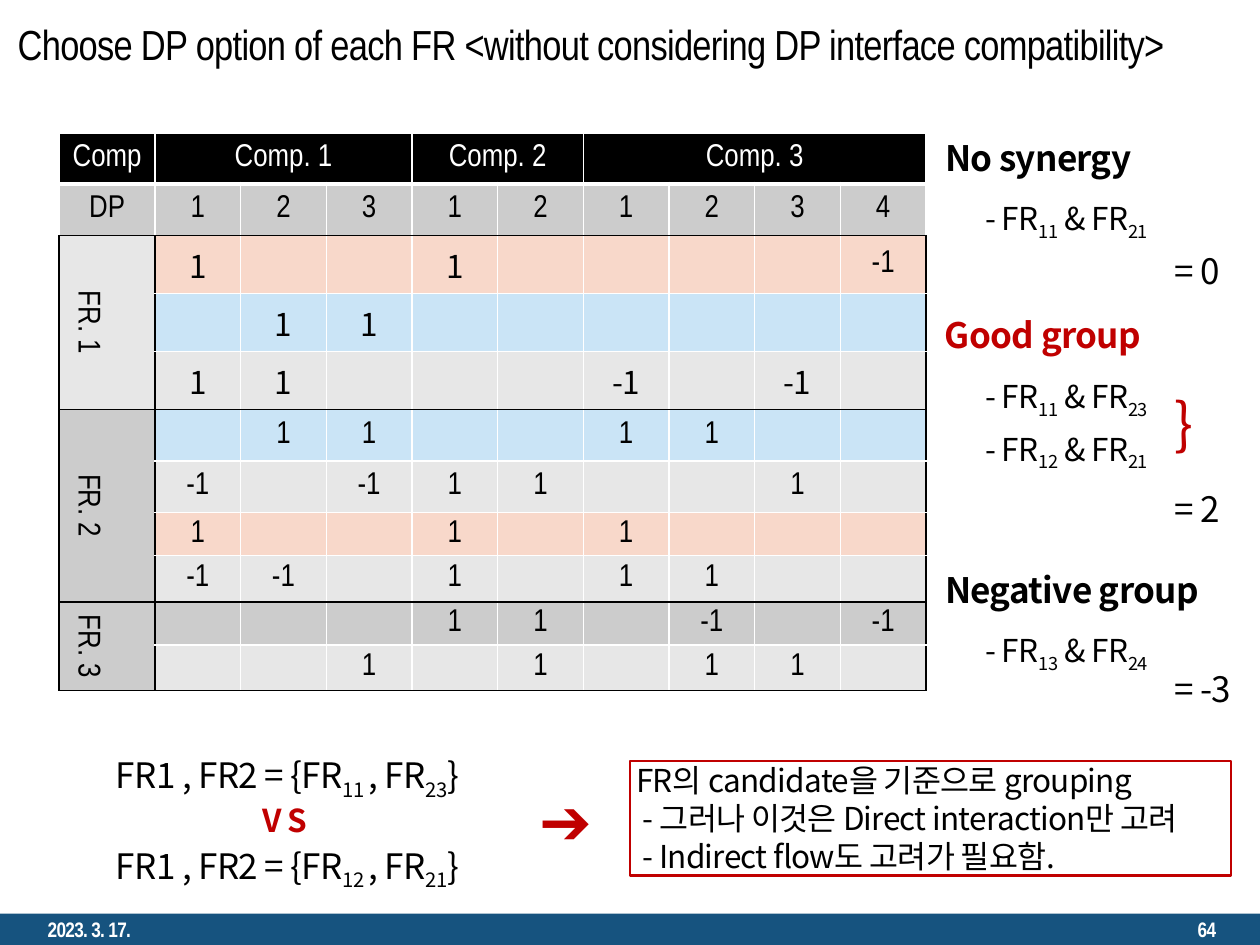
from dataclasses import dataclass

import pptx
import pptx.dml.color
import pptx.enum.shapes
import pptx.enum.text
import pptx.oxml.ns
import pptx.util
from lxml import etree
from pptx.util import Inches

NARROW, NOTO = "Arial Narrow", "Noto Sans CJK KR"
BLACK, WHITE, RED, NAVY = "000000", "FFFFFF", "C00000", "16537F"
GRAY, LIGHT, PINK, BLUE = "CCCCCC", "E7E7E7", "F8D8CA", "CAE4F6"
CENTER = pptx.enum.text.PP_ALIGN.CENTER
RIGHT = pptx.enum.text.PP_ALIGN.RIGHT
MIDDLE = pptx.enum.text.MSO_ANCHOR.MIDDLE


@dataclass
class Label:
    text: str
    left: float
    top: float
    width: float
    height: float
    size: int
    color: str = BLACK
    bold: bool = False


@dataclass
class Row:
    height: float
    fill: str
    values: dict
    font: str = NARROW


@dataclass
class Group:
    name: str
    fill: str
    rows: list


LABELS = [
    Label("No synergy", 7.5, 1.08, 1.48, 0.34, 20, bold=True),
    Label("- FR_11_ & FR_21", 7.82, 1.58, 1.45, 0.3, 18),
    Label("= 0", 9.32, 1.98, 0.43, 0.34, 20),
    Label("Good group", 7.5, 2.49, 1.57, 0.34, 20, RED, True),
    Label("- FR_11_ & FR_23", 7.82, 2.99, 1.45, 0.3, 18),
    Label("- FR_12_ & FR_21", 7.82, 3.41, 1.45, 0.3, 18),
    Label("}", 9.32, 3.08, 0.13, 0.54, 32, RED),
    Label("= 2", 9.32, 3.87, 0.43, 0.34, 20),
    Label("Negative group", 7.5, 4.51, 2.02, 0.34, 20, bold=True),
    Label("- FR_13_ & FR_24", 7.82, 5.01, 1.45, 0.3, 18),
    Label("= -3", 9.32, 5.3, 0.54, 0.34, 20),
    Label("FR1 , FR2 = {FR_11 _, FR_23_}", 0.92, 5.98, 2.98, 0.34, 20),
    Label("V S", 2.08, 6.36, 0.38, 0.3, 18, RED, True),
    Label("FR1 , FR2 = {FR_12 _, FR_21_}", 0.92, 6.7, 2.98, 0.34, 20),
    Label("➔", 4.28, 6.2, 0.53, 0.61, 36, RED),
]

COMPONENTS = [("Comp. 1", 3), ("Comp. 2", 2), ("Comp. 3", 4)]
GROUPS = [
    Group("FR. 1", LIGHT, [
        Row(0.46, PINK, {1: "1", 4: "1", 9: "-1"}, NOTO),
        Row(0.46, BLUE, {2: "1", 3: "1"}, NOTO),
        Row(0.46, LIGHT, {1: "1", 2: "1", 6: "-1", 8: "-1"}, NOTO),
    ]),
    Group("FR. 2", GRAY, [
        Row(0.41, BLUE, {2: "1", 3: "1", 6: "1", 7: "1"}),
        Row(0.41, LIGHT, {1: "-1", 3: "-1", 4: "1", 5: "1", 8: "1"}),
        Row(0.33, PINK, {1: "1", 4: "1", 6: "1"}),
        Row(0.37, LIGHT, {1: "-1", 2: "-1", 4: "1", 6: "1", 7: "1"}),
    ]),
    Group("FR. 3", GRAY, [
        Row(0.34, GRAY, {4: "1", 5: "1", 7: "-1", 9: "-1"}),
        Row(0.34, LIGHT, {3: "1", 5: "1", 7: "1", 8: "1"}),
    ]),
]
NOTES = [
    ("FR의 candidate을 기준으로 grouping", 0.05),
    ("- 그러나 이것은 Direct interaction만 고려", 0.1),
    ("- Indirect flow도 고려가 필요함.", 0.1),
]


def rgb(value: str):
    return pptx.dml.color.RGBColor.from_string(value)


def format_run(r, size: int, color: str, font: str, bold: bool = False, spacing: float = -0.4) -> None:
    r.font.size, r.font.name, r.font.bold = pptx.util.Pt(size), font, bold
    r.font.color.rgb = rgb(color)
    rpr = r.font._element
    rpr.set("spc", str(round(spacing * 100)))
    etree.SubElement(rpr, pptx.oxml.ns.qn("a:ea")).set("typeface", font)


def clear_margins(tf) -> None:
    tf.margin_left = tf.margin_right = tf.margin_top = tf.margin_bottom = 0


def draw_label(s, label: Label) -> None:
    box = [Inches(v) for v in (label.left, label.top, label.width, label.height)]
    tf = s.shapes.add_textbox(*box).text_frame
    clear_margins(tf)
    tf.word_wrap = False
    p = tf.paragraphs[0]
    for i, part in enumerate(label.text.split("_")):
        if part:
            r = p.add_run()
            r.text = part
            format_run(r, label.size, label.color, NOTO, label.bold)
            if i % 2:
                r.font._element.set("baseline", "-25000")


def draw_footer(s, text: str, left: float, align=None) -> None:
    tf = s.shapes.add_textbox(Inches(left), Inches(7.25), Inches(2.25), Inches(0.25)).text_frame
    tf.word_wrap, tf.vertical_anchor, tf.text = True, MIDDLE, text
    p = tf.paragraphs[0]
    p.alignment = align
    format_run(p.runs[0], 12, WHITE, NARROW, True)


def draw_rect(s, left: float, top: float, width: float, height: float):
    sp = s.shapes.add_shape(pptx.enum.shapes.MSO_SHAPE.RECTANGLE,
                            Inches(left), Inches(top), Inches(width), Inches(height))
    sp.shadow.inherit = False
    return sp


def draw_notes(s) -> None:
    sp = draw_rect(s, 5, 6.04, 4.77, 0.91)
    sp.fill.background()
    sp.line.color.rgb, sp.line.width = rgb(RED), pptx.util.Pt(1.5)
    tf = sp.text_frame
    clear_margins(tf)
    tf.vertical_anchor = pptx.enum.text.MSO_ANCHOR.TOP
    tf.text = "\n".join(text for text, _ in NOTES)
    for p, (_, indent) in zip(tf.paragraphs, NOTES):
        p.alignment = pptx.enum.text.PP_ALIGN.LEFT
        p._p.get_or_add_pPr().set("marL", str(Inches(indent)))
        format_run(p.runs[0], 18, BLACK, NOTO)


def set_borders(cell, borders: dict) -> None:
    tcpr = cell._tc.get_or_add_tcPr()
    for i, side in enumerate("LRTB"):
        color, width = borders.get(side, (WHITE, 1))
        ln = etree.Element(pptx.oxml.ns.qn(f"a:ln{side}"), w=str(pptx.util.Pt(width)))
        fill = etree.SubElement(ln, pptx.oxml.ns.qn("a:solidFill"))
        etree.SubElement(fill, pptx.oxml.ns.qn("a:srgbClr")).set("val", color)
        tcpr.insert(i, ln)


def draw_cell(cell, text: str, fill: str, borders: dict, color: str = BLACK, font: str = NARROW) -> None:
    cell.fill.solid()
    cell.fill.fore_color.rgb = rgb(fill)
    cell.vertical_anchor = MIDDLE
    cell.margin_top = cell.margin_bottom = Inches(0.02)
    set_borders(cell, borders)
    cell.text_frame.text = text
    p = cell.text_frame.paragraphs[0]
    p.alignment = CENTER
    for r in p.runs:
        format_run(r, 18, color, font, spacing=-0.4 if font == NOTO else 0)
    if not text:
        etree.SubElement(p._p, pptx.oxml.ns.qn("a:endParaRPr")).set("sz", "1200")


def draw_table(s) -> None:
    heights = [0.4, 0.41] + [row.height for g in GROUPS for row in g.rows]
    frame = s.shapes.add_table(len(heights), 10, Inches(0.47), Inches(1.06), Inches(6.88), Inches(sum(heights)))
    table = frame.table
    for i, height in enumerate(heights):
        table.rows[i].height = Inches(height)
    for i in range(10):
        table.columns[i].width = Inches(0.68 if i else 0.76)
    edge = (BLACK, 1)
    col = 0
    for name, span in [("Comp", 1)] + COMPONENTS:
        for i in range(span):
            draw_cell(table.cell(0, col + i), "" if i else name, BLACK, {"B": (WHITE, 3)}, WHITE)
            number = str(i + 1) if col else "DP"
            draw_cell(table.cell(1, col + i), number, GRAY, {"T": (WHITE, 3), "B": edge})
        if span > 1:
            table.cell(0, col).merge(table.cell(0, col + span - 1))
        col += span
    top = 2
    for g in GROUPS:
        last = len(g.rows) - 1
        for i, row in enumerate(g.rows):
            draw_cell(table.cell(top + i, 0), "" if i else g.name, g.fill, dict.fromkeys("LRTB", edge))
            for c in range(1, 10):
                sides = {"T": i == 0, "B": i == last, "L": c == 1, "R": c == 9}
                font = NARROW if c == 9 else row.font
                draw_cell(table.cell(top + i, c), row.values.get(c, ""), row.fill,
                          {side: edge for side, outer in sides.items() if outer}, font=font)
        head = table.cell(top, 0)
        head.margin_top = head.margin_bottom = Inches(0.1)
        head.merge(table.cell(top + last, 0))
        head._tc.get_or_add_tcPr().set("vert", "vert")
        top += len(g.rows)


def draw_title(s) -> None:
    sp = s.shapes.title
    sp.left, sp.top, sp.width, sp.height = Inches(0.04), Inches(0.03), Inches(10.24), Inches(0.64)
    tf = sp.text_frame
    tf.text = "Choose DP option of each FR <without considering DP interface compatibility>"
    tf.auto_size, tf.vertical_anchor = pptx.enum.text.MSO_AUTO_SIZE.NONE, MIDDLE
    tf.paragraphs[0].alignment = pptx.enum.text.PP_ALIGN.LEFT
    format_run(tf.paragraphs[0].runs[0], 24, BLACK, NARROW)


def main() -> None:
    prs = pptx.Presentation()
    prs.slide_width, prs.slide_height = Inches(10), Inches(7.5)
    s = prs.slides.add_slide(prs.slide_layouts[5])
    draw_title(s)
    bar = draw_rect(s, 0, 7.25, 10, 0.25)
    bar.fill.solid()
    bar.fill.fore_color.rgb = rgb(NAVY)
    bar.line.fill.background()
    draw_footer(s, "2023. 3. 17.", 0.28)
    draw_footer(s, "64", 7.5, RIGHT)
    draw_table(s)
    for label in LABELS:
        draw_label(s, label)
    draw_notes(s)
    prs.save("out.pptx")


if __name__ == "__main__":
    main()
